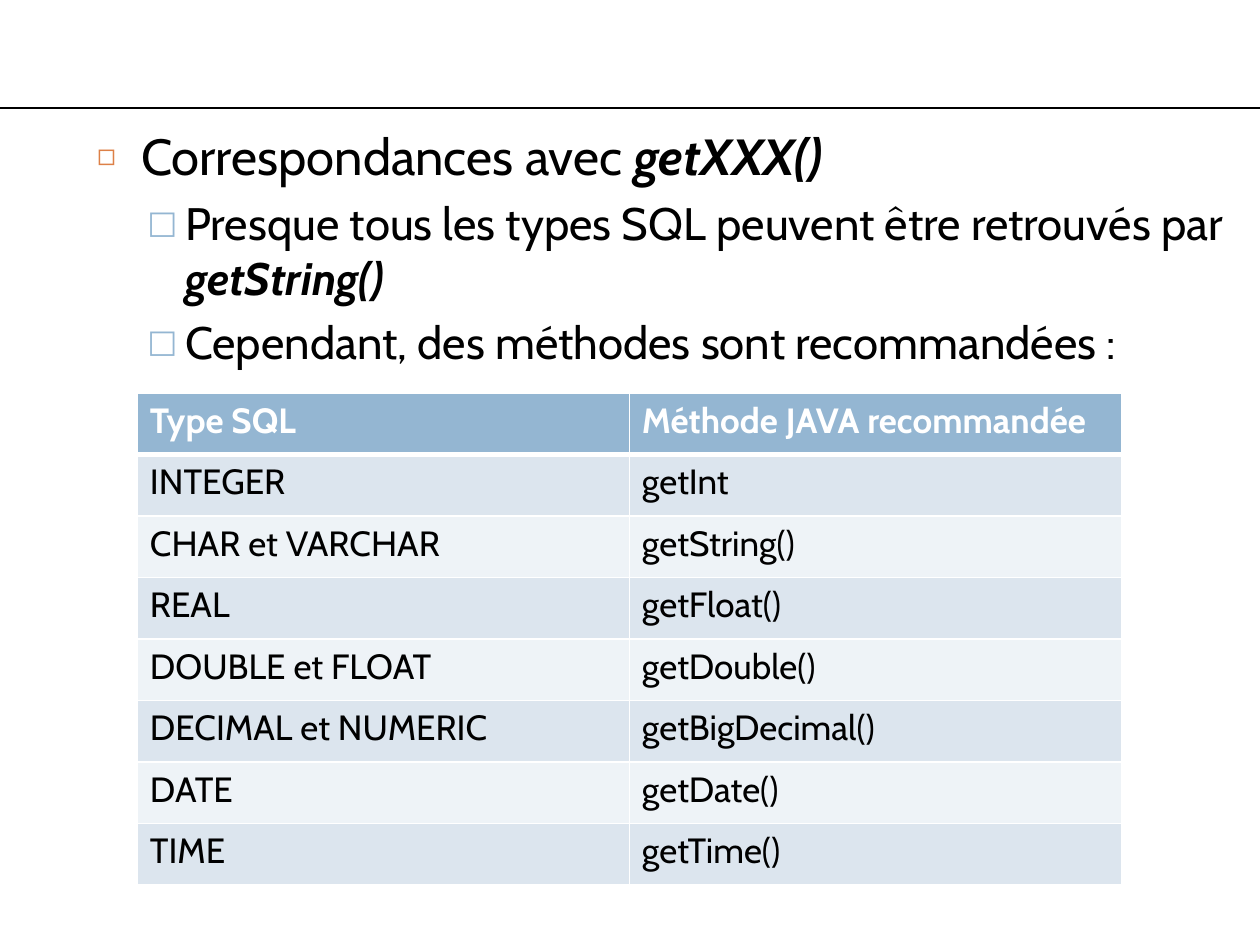
import lxml.etree
import pptx
import pptx.dml.color
import pptx.enum.shapes
import pptx.enum.text
import pptx.oxml
import pptx.oxml.ns
import pptx.util

Pt = pptx.util.Pt
qn = pptx.oxml.ns.qn

FONT = "Cabin"
BLACK, WHITE, BLUE, ORANGE = "000000", "FFFFFF", "94B6D2", "DD8047"
BAND_COLORS = ("DCE5EE", "EEF3F7")

MAIN_POINT = {
    "level": 0, "size": 29, "space_before": 7, "margin": 25.2, "hanging": 25.2,
    "bullet": "◻", "bullet_color": ORANGE, "bullet_percent": 60,
}
SUB_POINT = {
    "level": 1, "size": 26, "space_before": 5.5, "margin": 50.4, "hanging": 21.6,
    "bullet": "□", "bullet_color": BLUE, "bullet_percent": 70,
}
# Each point: style, plain text, emphasised text
POINTS = [
    (MAIN_POINT, "Correspondances avec ", "getXXX()"),
    (SUB_POINT, "Presque tous les types SQL peuvent être retrouvés par ", "getString()"),
    (SUB_POINT, "Cependant, des méthodes sont recommandées :", ""),
]
TYPE_ROWS = [
    ("Type SQL", "Méthode JAVA recommandée"),
    ("INTEGER", "getInt"),
    ("CHAR et VARCHAR", "getString()"),
    ("REAL", "getFloat()"),
    ("DOUBLE et FLOAT", "getDouble()"),
    ("DECIMAL et NUMERIC", "getBigDecimal()"),
    ("DATE", "getDate()"),
    ("TIME", "getTime()"),
]


def rgb(color):
    return pptx.dml.color.RGBColor.from_string(color)


def set_attributes(target, values):
    for name, value in values.items():
        setattr(target, name, value)


def add_run(paragraph, text, size, color=BLACK, **font_values):
    run = paragraph.add_run()
    run.text = text
    set_attributes(run.font, {"name": FONT, "size": Pt(size), **font_values})
    run.font.color.rgb = rgb(color)


def add_rule(slide, top, width):
    line = slide.shapes.add_connector(
        pptx.enum.shapes.MSO_CONNECTOR.STRAIGHT, 0, Pt(top), Pt(width), Pt(top))
    line.line.color.rgb = rgb(BLACK)
    line.line.width = Pt(1)
    lxml.etree.SubElement(line._element.spPr, qn("a:effectLst"))


def set_bullet(paragraph, style):
    properties = paragraph._p.get_or_add_pPr()
    properties.set("marL", str(Pt(style["margin"])))
    properties.set("indent", str(-Pt(style["hanging"])))
    color = lxml.etree.SubElement(properties, qn("a:buClr"))
    lxml.etree.SubElement(color, qn("a:srgbClr"), val=style["bullet_color"])
    lxml.etree.SubElement(
        properties, qn("a:buSzPct"), val=str(style["bullet_percent"] * 1000))
    lxml.etree.SubElement(properties, qn("a:buFont"), typeface=FONT)
    lxml.etree.SubElement(properties, qn("a:buChar"), char=style["bullet"])


def fill_body(body, points):
    set_attributes(body, {
        "left": Pt(48.24), "top": Pt(67.68), "width": Pt(660.24), "height": Pt(191.52)})
    frame = body.text_frame
    set_attributes(frame, {
        "word_wrap": True,
        "auto_size": pptx.enum.text.MSO_AUTO_SIZE.NONE,
        "vertical_anchor": pptx.enum.text.MSO_ANCHOR.TOP,
    })
    for index, (style, plain, emphasised) in enumerate(points):
        paragraph = frame.add_paragraph() if index else frame.paragraphs[0]
        set_attributes(paragraph, {
            "level": style["level"],
            "space_before": Pt(style["space_before"]),
            "space_after": Pt(0),
            "line_spacing": 1.0,
        })
        set_bullet(paragraph, style)
        add_run(paragraph, plain, style["size"])
        if emphasised:
            add_run(paragraph, emphasised, style["size"], bold=True, italic=True)


def set_borders(cell, widths):
    """Draw white borders; widths maps a side (L, R, T, B) to points."""
    properties = cell._tc.get_or_add_tcPr()
    for side, width in widths.items():
        border = lxml.etree.SubElement(properties, qn(f"a:ln{side}"), w=str(Pt(width)))
        fill = lxml.etree.SubElement(border, qn("a:solidFill"))
        lxml.etree.SubElement(fill, qn("a:srgbClr"), val=WHITE)


def add_type_table(slide, rows):
    column_width, row_height = 281.16, 35.16
    column_count = len(rows[0])
    table = slide.shapes.add_table(
        len(rows), column_count, Pt(78.48), Pt(224.64),
        Pt(column_count * column_width), Pt(len(rows) * row_height)).table
    for row_index, texts in enumerate(rows):
        is_header = row_index == 0
        background = BLUE if is_header else BAND_COLORS[(row_index - 1) % 2]
        widths = {"L": 1, "R": 1, "T": 3 if row_index == 1 else 1, "B": 3 if is_header else 1}
        for column_index, text in enumerate(texts):
            cell = table.cell(row_index, column_index)
            set_borders(cell, widths)
            cell.fill.solid()
            cell.fill.fore_color.rgb = rgb(background)
            add_run(cell.text_frame.paragraphs[0], text, 20,
                    WHITE if is_header else BLACK, bold=is_header)


def main():
    presentation = pptx.Presentation()
    set_attributes(presentation, {"slide_width": Pt(720), "slide_height": Pt(540)})
    title_and_content = presentation.slide_layouts[1]
    slide = presentation.slides.add_slide(title_and_content)
    empty_title = slide.shapes.title._element
    empty_title.getparent().remove(empty_title)
    add_rule(slide, 61.92, 720)
    fill_body(slide.placeholders[1], POINTS)
    add_type_table(slide, TYPE_ROWS)
    presentation.save("out.pptx")


if __name__ == "__main__":
    main()
